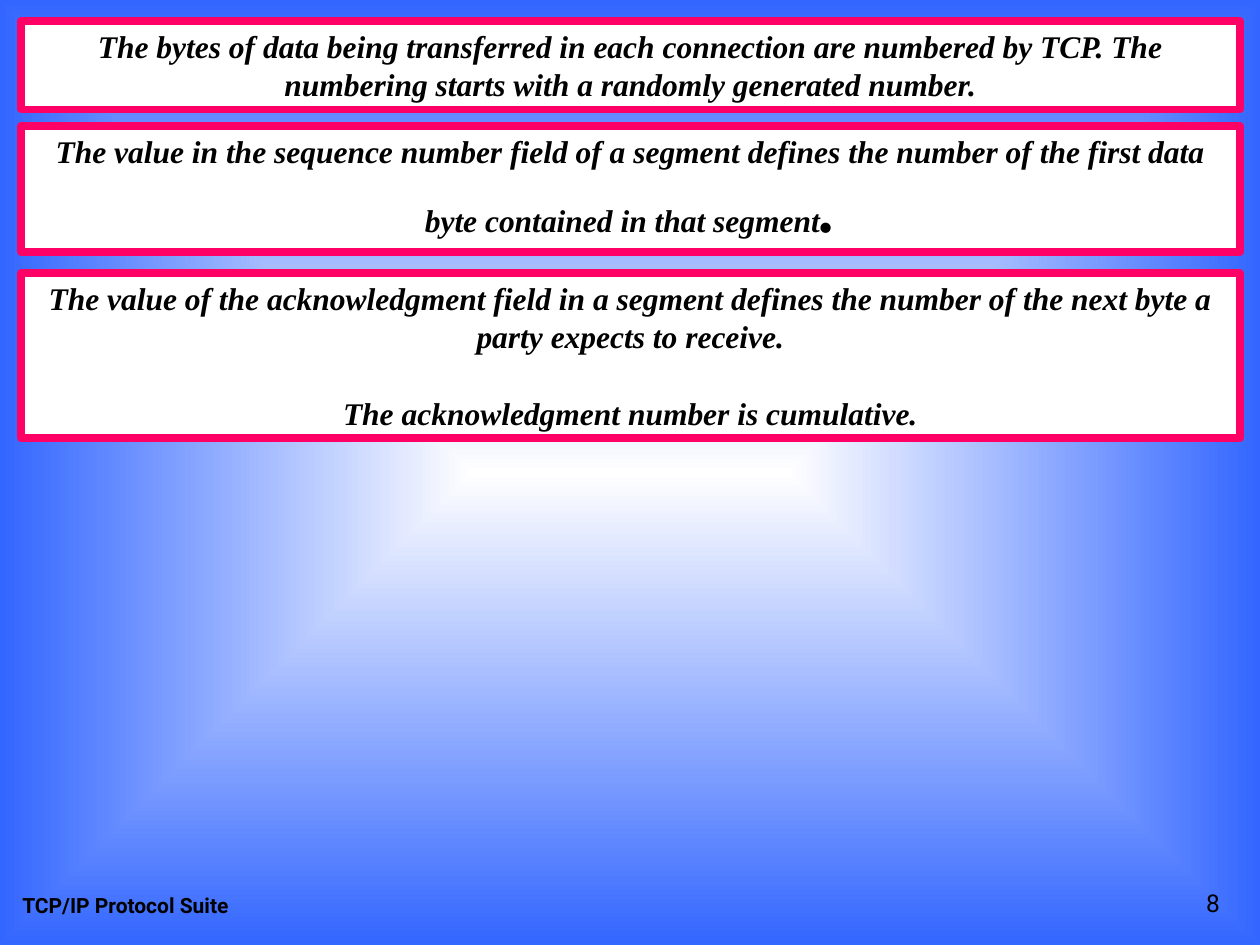
from dataclasses import dataclass

import lxml.etree
import pptx
import pptx.dml.color
import pptx.enum.shapes
import pptx.enum.text
import pptx.oxml.ns
import pptx.slide
import pptx.text.text
import pptx.util

Cm = pptx.util.Cm
Pt = pptx.util.Pt
RGB = pptx.dml.color.RGBColor
ALIGN = pptx.enum.text.PP_ALIGN
ANCHOR = pptx.enum.text.MSO_ANCHOR
AUTO_SIZE = pptx.enum.text.MSO_AUTO_SIZE


@dataclass(frozen=True)
class Theme:
    centre: RGB = RGB(0xFF, 0xFF, 0xFF)
    edge: RGB = RGB(0x33, 0x66, 0xFF)
    panel: RGB = RGB(0xFF, 0xFF, 0xFF)
    border: RGB = RGB(0xFF, 0x00, 0x66)
    ink: RGB = RGB(0x00, 0x00, 0x00)
    statement_font: str = "Times New Roman"
    footer_font: str = "Roboto"
    border_width: int = Pt(4.5)
    statement_size: int = Pt(18)
    full_stop_size: int = Pt(36)
    footer_size: int = Pt(12)
    number_size: int = Pt(14)


THEME = Theme()
STATEMENT_FORMAT = {"name": THEME.statement_font, "size": THEME.statement_size,
                    "bold": True, "italic": True}
FOOTER_FORMAT = {"name": THEME.footer_font, "size": THEME.footer_size, "bold": True}
NUMBER_FORMAT = {"name": THEME.footer_font, "size": THEME.number_size}


@dataclass(frozen=True)
class Statement:
    top: float
    height: float
    paragraphs: tuple[str, ...]
    large_ending: str = ""


@dataclass(frozen=True)
class FooterItem:
    text: str
    left: float
    width: float
    alignment: ALIGN
    text_format: dict


STATEMENTS = (
    Statement(0.43, 1.78, (
        "The bytes of data being transferred in each connection are numbered by TCP. "
        "The numbering starts with a randomly generated number.",)),
    Statement(2.54, 2.54, (
        "The value in the sequence number field of a segment defines the number of "
        "the first data byte contained in that segment",), large_ending="."),
    Statement(5.51, 3.33, (
        "The value of the acknowledgment field in a segment defines the number of "
        "the next byte a party expects to receive.",
        "The acknowledgment number is cumulative.")),
)
FOOTER = (
    FooterItem("TCP/IP Protocol Suite", 0.2, 8.05, ALIGN.LEFT, FOOTER_FORMAT),
    FooterItem("8", 19.56, 5.28, ALIGN.RIGHT, NUMBER_FORMAT),
)


def add_run(paragraph: pptx.text.text._Paragraph, text: str, text_format: dict) -> None:
    run = paragraph.add_run()
    run.text = text
    for attribute, value in text_format.items():
        setattr(run.font, attribute, value)
    run.font.color.rgb = THEME.ink


def paint_background(slide: pptx.slide.Slide) -> None:
    """Fill the background with a rectangular gradient from centre to edge."""
    fill = slide.background.fill
    fill.gradient()
    for stop, position, colour in zip(fill.gradient_stops, (0, 1),
                                      (THEME.centre, THEME.edge)):
        stop.position = position
        stop.color.rgb = colour
    qn = pptx.oxml.ns.qn
    gradient = next(slide.element.iter(qn("a:gradFill")))
    gradient.remove(gradient.find(qn("a:lin")))
    shading = lxml.etree.SubElement(gradient, qn("a:path"), {"path": "rect"})
    lxml.etree.SubElement(shading, qn("a:fillToRect"),
                          dict.fromkeys("ltrb", "50000"))


def draw_statement(slide: pptx.slide.Slide, statement: Statement) -> None:
    panel = slide.shapes.add_shape(
        pptx.enum.shapes.MSO_SHAPE.RECTANGLE,
        Cm(0.43), Cm(statement.top), Cm(24.56), Cm(statement.height))
    panel.shadow.inherit = False
    panel.fill.solid()
    panel.fill.fore_color.rgb = THEME.panel
    panel.line.color.rgb = THEME.border
    panel.line.width = THEME.border_width
    frame = panel.text_frame
    frame.word_wrap = True
    frame.auto_size = AUTO_SIZE.SHAPE_TO_FIT_TEXT
    frame.vertical_anchor = ANCHOR.TOP
    for index, text in enumerate(statement.paragraphs):
        paragraph = frame.add_paragraph() if index else frame.paragraphs[0]
        paragraph.alignment = ALIGN.CENTER
        paragraph.space_before = Pt(12 if index else 0)
        paragraph.space_after = Pt(10)
        add_run(paragraph, text, STATEMENT_FORMAT)
    if statement.large_ending:
        add_run(paragraph, statement.large_ending,
                STATEMENT_FORMAT | {"size": THEME.full_stop_size})


def draw_footer_item(slide: pptx.slide.Slide, item: FooterItem) -> None:
    box = slide.shapes.add_textbox(Cm(item.left), Cm(17.35), Cm(item.width), Cm(1.27))
    frame = box.text_frame
    frame.word_wrap = True
    frame.vertical_anchor = ANCHOR.BOTTOM
    frame.paragraphs[0].alignment = item.alignment
    add_run(frame.paragraphs[0], item.text, item.text_format)


def main() -> None:
    presentation = pptx.Presentation()
    presentation.slide_width = Cm(25.4)
    presentation.slide_height = Cm(19.05)
    slide = presentation.slides.add_slide(presentation.slide_layouts[6])
    paint_background(slide)
    for item in FOOTER:
        draw_footer_item(slide, item)
    for statement in STATEMENTS:
        draw_statement(slide, statement)
    presentation.save("out.pptx")


if __name__ == "__main__":
    main()
